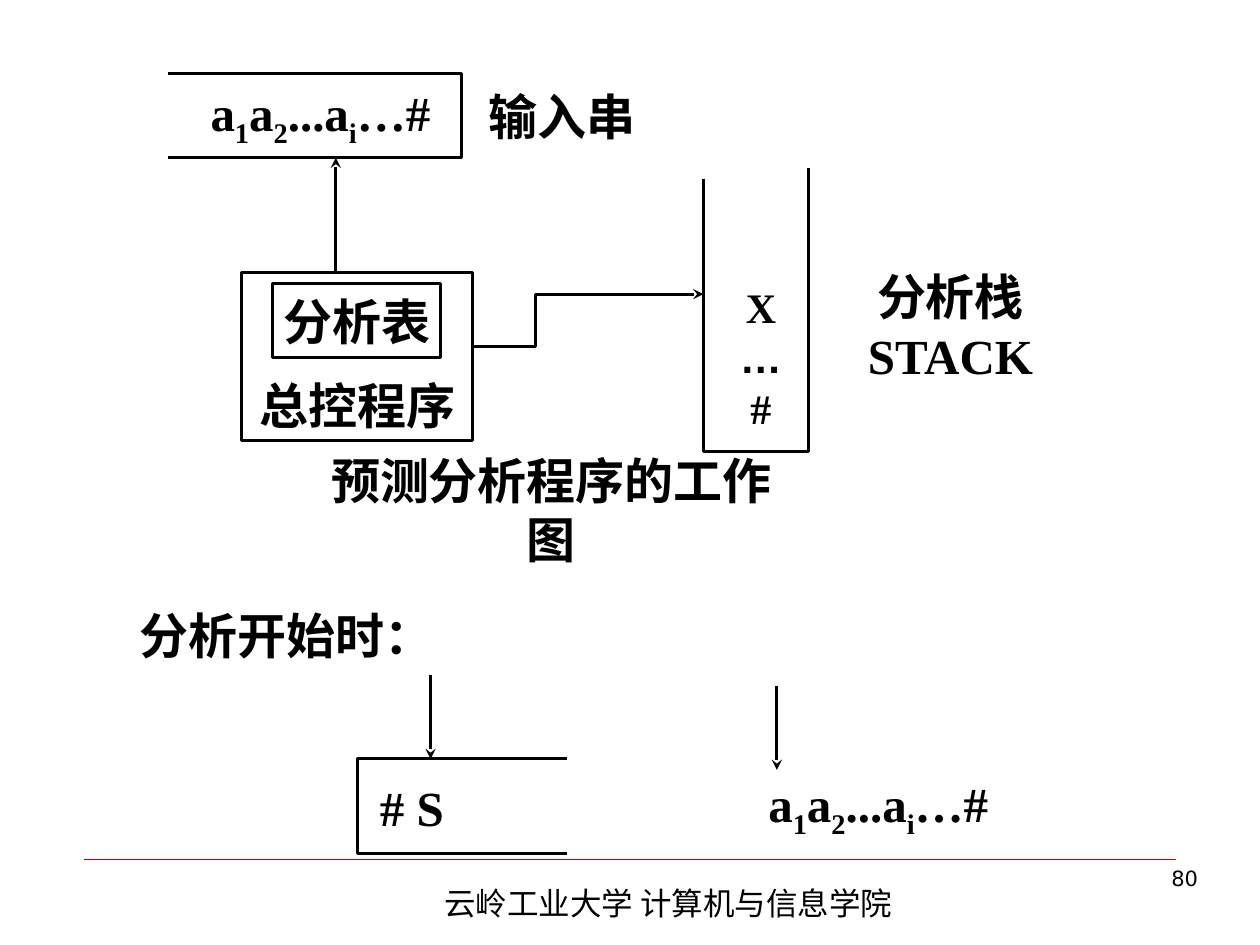
import pptx
import pptx.util
import pptx.dml.color
import pptx.enum.shapes
import pptx.enum.text
import pptx.oxml.ns
import lxml.etree

Cm = pptx.util.Cm
Pt = pptx.util.Pt
Align = pptx.enum.text.PP_ALIGN
Anchor = pptx.enum.text.MSO_ANCHOR
HUES = {"ink": "000000", "rule": "CC0000"}
SERIF = "Times New Roman"
CJK = "Noto Sans CJK SC"
INPUT = [("a", 0), ("1", 1), ("a", 0), ("2", 1), ("...a", 0), ("i", 1), ("…#", 0)]


def hue(name):
    """Return a named colour."""
    return pptx.dml.color.RGBColor.from_string(HUES[name])


def sub(node, tag, **attrs):
    """Add a DrawingML child to a node."""
    return lxml.etree.SubElement(node, pptx.oxml.ns.qn(tag), attrs)


def pen(shape, width=1.75, name="ink", head=False):
    """Set the line of a shape, with an arrowhead if asked."""
    shape.line.color.rgb = hue(name)
    shape.line.width = Pt(width)
    if head:
        sub(shape.line._get_or_add_ln(), "a:tailEnd", type="stealth")


def link(slide, start, end, **style):
    """Draw a straight line between two points."""
    line = slide.shapes.add_connector(
        pptx.enum.shapes.MSO_CONNECTOR.STRAIGHT, *map(Cm, start + end))
    pen(line, **style)
    sub(line._element.spPr, "a:effectLst")


def path(slide, points, **style):
    """Draw an open outline through the points."""
    spots = [(Cm(x), Cm(y)) for x, y in points]
    form = slide.shapes.build_freeform(*spots[0])
    form.add_line_segments(spots[1:], close=False)
    shape = form.convert_to_shape()
    shape.fill.background()
    shape.shadow.inherit = False
    pen(shape, **style)


def write(shape, lines, size=28, font=SERIF, bold=True, align=Align.CENTER,
          anchor=Anchor.MIDDLE):
    """Fill a shape with lines; a line is text or (text, lowered) parts."""
    frame = shape.text_frame
    frame.word_wrap = align != Align.CENTER
    frame.vertical_anchor = anchor
    for i, line in enumerate(lines):
        para = frame.add_paragraph() if i else frame.paragraphs[0]
        para.alignment = align
        para.font.size = Pt(size)
        para.font.bold = bold
        para.font.name = "Arial" if line == "…" else font
        para.font.color.rgb = hue("ink")
        sub(para.font._element, "a:ea", typeface=CJK)
        for text, low in [(line, 0)] if isinstance(line, str) else line:
            run = para.add_run()
            run.text = text
            if low:
                run._r.get_or_add_rPr().set("baseline", "-25000")


def label(slide, box, lines, **style):
    """Add a text box."""
    write(slide.shapes.add_textbox(*map(Cm, box)), lines, **style)


def block(slide, box, text, **style):
    """Add an outlined rectangle with text."""
    shape = slide.shapes.add_shape(
        pptx.enum.shapes.MSO_SHAPE.RECTANGLE, *map(Cm, box))
    shape.fill.background()
    shape.shadow.inherit = False
    pen(shape)
    write(shape, [text], **style)


def foot(slide):
    """Draw the rule, the footer and the page number."""
    link(slide, (1.7, 17.32), (23.7, 17.32), width=0.25, name="rule")
    label(slide, (8.71, 17.7, 12.2, 1.02), ["云岭工业大学 计算机与信息学院"],
          size=18, font=CJK, bold=False, align=Align.LEFT, anchor=Anchor.TOP)
    label(slide, (18.9, 17.32, 5.5, 1.32), ["80"], size=12,
          font="DejaVu Sans", bold=False, align=Align.RIGHT, anchor=Anchor.TOP)


def model(slide):
    """Draw the parser with its input, table and stack."""
    block(slide, (4.87, 5.5, 4.66, 3.39), "总控程序", anchor=Anchor.BOTTOM)
    block(slide, (5.5, 5.72, 3.39, 1.48), "分析表")
    path(slide, [(14.18, 3.6), (14.18, 9.1), (16.3, 9.1), (16.3, 3.39)])
    path(slide, [(3.39, 1.48), (9.31, 1.48), (9.31, 3.18), (3.39, 3.18)])
    link(slide, (6.77, 5.5), (6.77, 3.18), head=True)
    path(slide, [(9.53, 6.99), (10.8, 6.99), (10.8, 5.93), (14.18, 5.93)],
         head=True)
    label(slide, (14.6, 5.5, 1.48, 3.39), ["X", "…", "#"], size=24)
    label(slide, (8.68, 1.7, 5.3, 1.27), ["输入串"])
    label(slide, (16.51, 5.93, 5.3, 1.27), ["分析栈", "STACK"])
    label(slide, (3.81, 1.7, 5.3, 1.27), [INPUT])
    label(slide, (6.14, 9.53, 9.95, 1.48), ["预测分析程序的工作图"])


def begin(slide):
    """Draw the stack and the input at the outset."""
    label(slide, (2.57, 12.07, 7, 1.45), ["分析开始时："], align=Align.LEFT)
    path(slide, [(11.43, 15.3), (7.2, 15.3), (7.2, 17.2), (11.43, 17.2)])
    label(slide, (7.41, 15.53, 3.6, 1.48), ["# S"], align=Align.LEFT)
    label(slide, (15.24, 15.53, 5.5, 1.48), [INPUT], align=Align.LEFT)
    link(slide, (8.68, 13.6), (8.68, 15.3), head=True)
    link(slide, (15.66, 13.82), (15.66, 15.52), head=True)


def main():
    """Build and save the slide."""
    deck = pptx.Presentation()
    deck.slide_width, deck.slide_height = Cm(25.4), Cm(19.05)
    slide = deck.slides.add_slide(deck.slide_layouts[6])
    foot(slide)
    model(slide)
    begin(slide)
    deck.save("out.pptx")


main()
